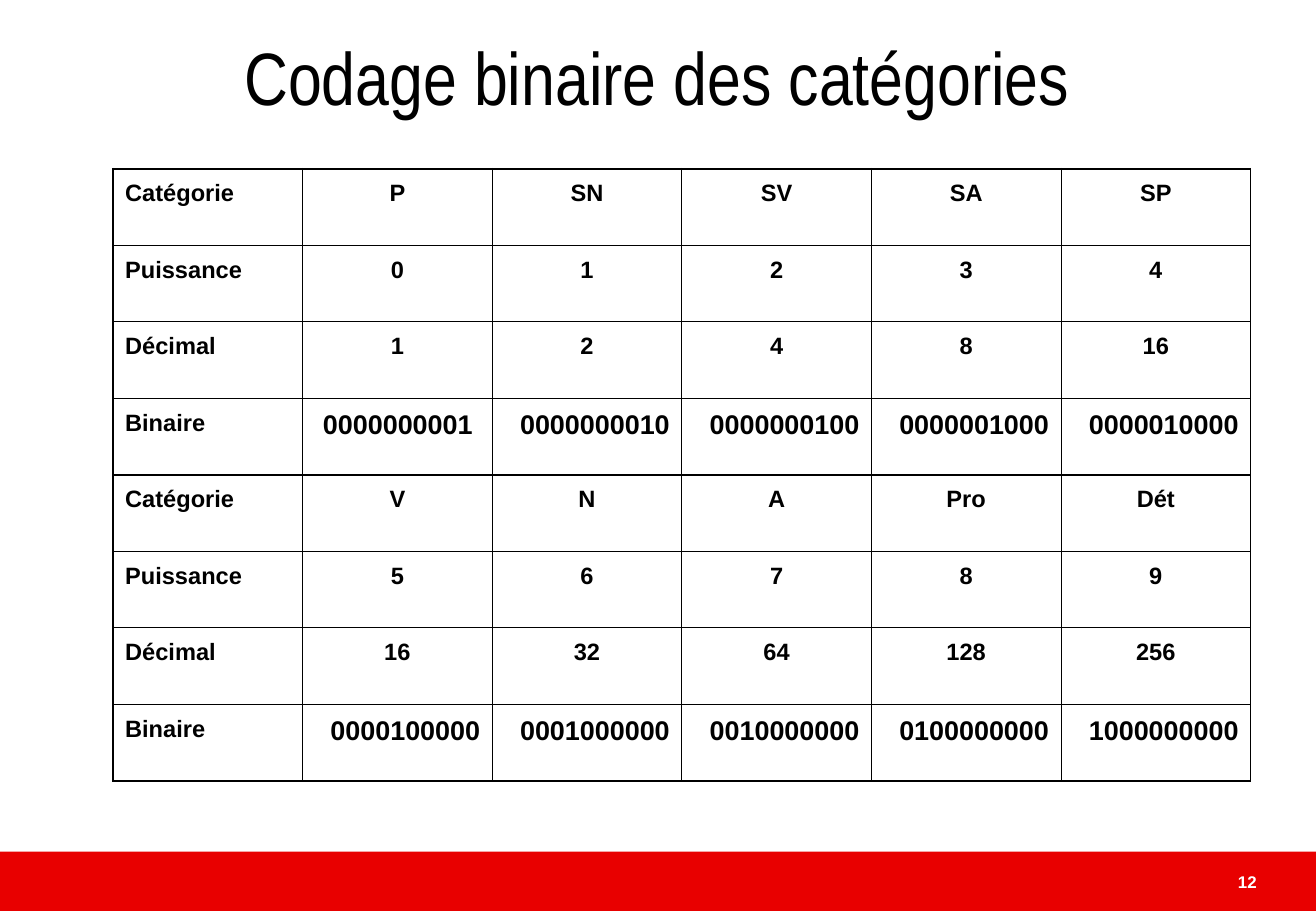
from lxml.etree import SubElement as Sub
from pptx import Presentation
from pptx.dml.color import RGBColor as Rgb
from pptx.enum.shapes import MSO_SHAPE as Shape
from pptx.enum.text import MSO_ANCHOR as Anchor, PP_ALIGN as Align
from pptx.oxml.ns import qn
from pptx.util import Pt

BLACK = "000000"
RED = "E80000"
WHITE = "FFFFFF"
THIN, EDGE, SPLIT = 0.45, 1.08, 1.47
HEADS = ["Catégorie", "Puissance", "Décimal", "Binaire"]
CODES = [
    ["P", "SN", "SV", "SA", "SP"],
    ["0", "1", "2", "3", "4"],
    ["1", "2", "4", "8", "16"],
    ["0000000001 ", "0000000010", "0000000100", "0000001000", "0000010000"],
    ["V", "N", "A", "Pro", "Dét"],
    ["5", "6", "7", "8", "9"],
    ["16", "32", "64", "128", "256"],
    ["0000100000", "0001000000", "0010000000", "0100000000", "1000000000"],
]


def paint(target, color):
    target.rgb = Rgb.from_string(color)


def write(frame, text, size=14, font="Arial", color=BLACK, bold=True,
          align=Align.LEFT, space=None, after=0):
    frame.word_wrap = True
    par = frame.paragraphs[0]
    par.alignment = align
    par.line_spacing = space
    par.space_after = Pt(after)
    run = par.add_run()
    run.text = text
    run.font.size = Pt(size)
    run.font.name = font
    run.font.bold = bold
    paint(run.font.color, color)


def add_text(slide, box, text, anchor=Anchor.TOP, **style):
    frame = slide.shapes.add_textbox(*map(Pt, box)).text_frame
    frame.vertical_anchor = anchor
    write(frame, text, **style)


def add_bar(slide, box, color):
    bar = slide.shapes.add_shape(Shape.RECTANGLE, *map(Pt, box))
    bar.shadow.inherit = False
    bar.fill.solid()
    paint(bar.fill.fore_color, color)
    bar.line.fill.background()


def add_rule(cell, side, width):
    props = cell._tc.get_or_add_tcPr()
    rule = Sub(props, qn(f"a:ln{side}"), w=str(Pt(width)))
    fill = Sub(rule, qn("a:solidFill"))
    Sub(fill, qn("a:srgbClr"), val=BLACK)


def add_grid(slide, box, rows):
    last, end = len(rows) - 1, len(rows[0]) - 1
    half = len(HEADS)
    grid = slide.shapes.add_table(last + 1, end + 1, *map(Pt, box)).table
    grid.first_row = grid.horz_banding = False
    levels = {0: EDGE, half: SPLIT, last + 1: EDGE}
    sides = {0: EDGE, end + 1: EDGE}
    for r, row in enumerate(rows):
        binary = r % half == half - 1
        for c, text in enumerate(row):
            cell = grid.cell(r, c)
            add_rule(cell, "L", sides.get(c, THIN))
            add_rule(cell, "R", sides.get(c + 1, THIN))
            add_rule(cell, "T", levels.get(r, THIN))
            add_rule(cell, "B", levels.get(r + 1, THIN))
            cell.fill.background()
            if c == 0:
                size, align = 14, Align.LEFT
            elif binary:
                size, align = 16, Align.RIGHT
            else:
                size, align = 14, Align.CENTER
            write(cell.text_frame, text, size=size, align=align,
                  space=1.2, after=10)


def main():
    deck = Presentation()
    deck.slide_width, deck.slide_height = Pt(780.48), Pt(540)
    slide = deck.slides.add_slide(deck.slide_layouts[6])
    add_bar(slide, (0, 504.8, 780.48, 35.2), RED)
    add_text(slide, (58.3, 0, 663, 90), "Codage binaire des catégories",
             anchor=Anchor.MIDDLE, size=44, font="Arial Narrow",
             bold=False, align=Align.CENTER)
    rows = [[head] + codes for head, codes in zip(HEADS * 2, CODES)]
    add_grid(slide, (67, 100, 674.8, 363), rows)
    add_text(slide, (589.7, 513.4, 162.7, 36), "12", size=10, color=WHITE,
             align=Align.RIGHT)
    deck.save("out.pptx")


if __name__ == "__main__":
    main()
